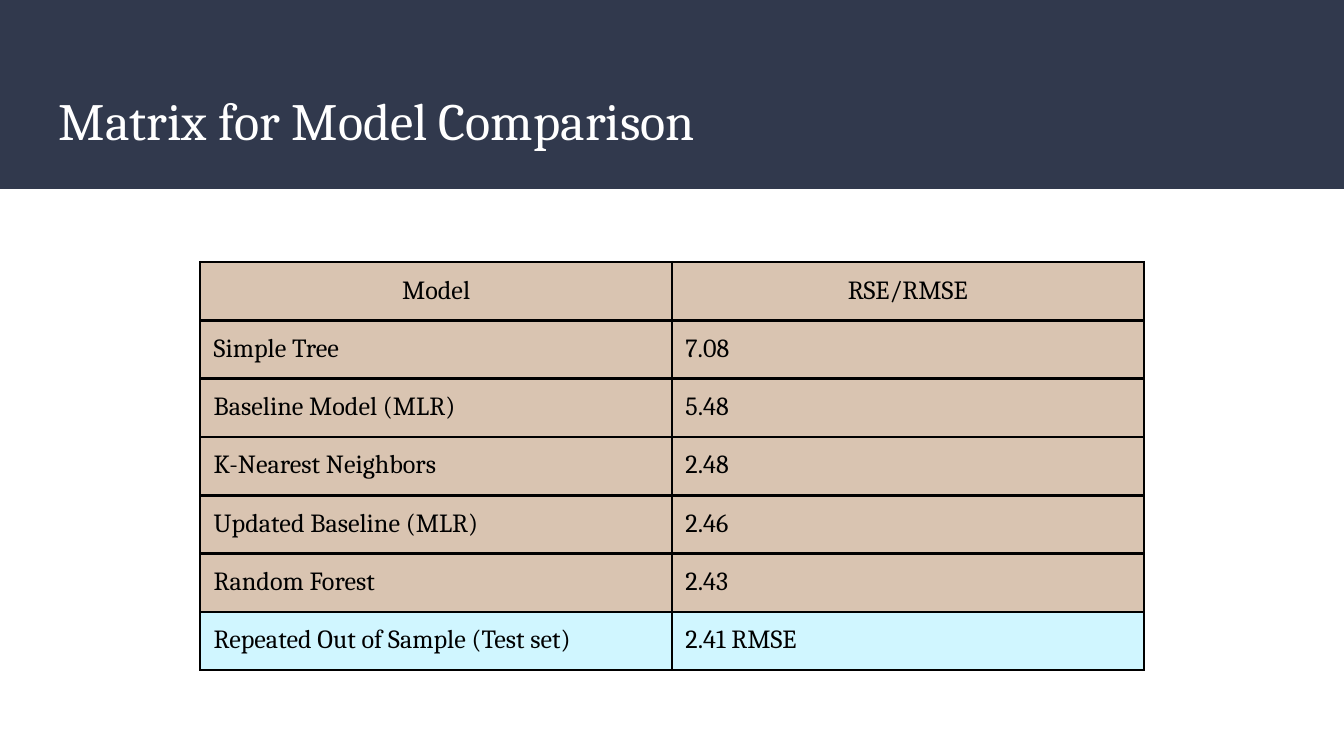
import pptx
import pptx.util
import pptx.dml.color
import pptx.enum.shapes
import pptx.enum.text
import pptx.oxml
import pptx.oxml.ns

Inches, Pt = pptx.util.Inches, pptx.util.Pt
RGBColor = pptx.dml.color.RGBColor

NAVY = RGBColor(0x31, 0x39, 0x4D)
WHITE = RGBColor(0xFF, 0xFF, 0xFF)
BLACK = RGBColor(0x00, 0x00, 0x00)
TAN = RGBColor(0xD9, 0xC4, 0xB1)
PALE_BLUE = RGBColor(0xD0, 0xF6, 0xFF)

FONT = "Cambria"
INSET = Inches(0.1)


def write(frame, text, size, color):
    run = frame.paragraphs[0].add_run()
    run.text = text
    run.font.name = FONT
    run.font.size = Pt(size)
    run.font.color.rgb = color


def outline(cell, color, width):
    properties = cell._tc.get_or_add_tcPr()
    for index, side in enumerate(("lnL", "lnR", "lnT", "lnB")):
        # Borders come before the fill in the cell properties
        properties.insert(index, pptx.oxml.parse_xml(
            f'<a:{side} {pptx.oxml.ns.nsdecls("a")} w="{Pt(width)}">'
            f'<a:solidFill><a:srgbClr val="{color}"/></a:solidFill></a:{side}>'))


# Widescreen slide, 16:9
deck = pptx.Presentation()
deck.slide_width = Inches(10)
deck.slide_height = deck.slide_width * 9 // 16
slide = deck.slides.add_slide(deck.slide_layouts[6])

# Header band, a quarter of the slide's height
band = slide.shapes.add_shape(
    pptx.enum.shapes.MSO_SHAPE.RECTANGLE, 0, 0, deck.slide_width, deck.slide_height // 4)
band.shadow.inherit = False
band.fill.solid()
band.fill.fore_color.rgb = NAVY
band.line.fill.background()

# Title
margin = Inches(0.34)
title = slide.shapes.add_textbox(
    margin, Inches(0.55), deck.slide_width - 2 * margin, Inches(0.68)).text_frame
title.word_wrap = True
title.vertical_anchor = pptx.enum.text.MSO_ANCHOR.MIDDLE
title.margin_left = title.margin_right = INSET
title.margin_top = title.margin_bottom = INSET
write(title, "Matrix for Model Comparison", 28, WHITE)

# Model comparison table
scores = [
    ("Model", "RSE/RMSE"),
    ("Simple Tree", "7.08"),
    ("Baseline Model (MLR)", "5.48"),
    ("K-Nearest Neighbors", "2.48"),
    ("Updated Baseline (MLR)", "2.46"),
    ("Random Forest", "2.43"),
    ("Repeated Out of Sample (Test set)", "2.41 RMSE"),
]
column_width, row_height = Inches(3.51), Inches(0.43)
table_width = 2 * column_width
comparison = slide.shapes.add_table(
    len(scores), 2, (deck.slide_width - table_width) // 2, Inches(1.95),
    table_width, len(scores) * row_height).table
comparison.first_row = comparison.horz_banding = False

for row, entries in enumerate(scores):
    for column, entry in enumerate(entries):
        cell = comparison.cell(row, column)
        cell.margin_left = cell.margin_right = INSET
        cell.margin_top = cell.margin_bottom = INSET
        cell.fill.solid()
        cell.fill.fore_color.rgb = PALE_BLUE if row == len(scores) - 1 else TAN
        outline(cell, BLACK, 1.5)
        write(cell.text_frame, entry, 14, BLACK)
        if row == 0:
            cell.text_frame.paragraphs[0].alignment = pptx.enum.text.PP_ALIGN.CENTER

deck.save("out.pptx")
